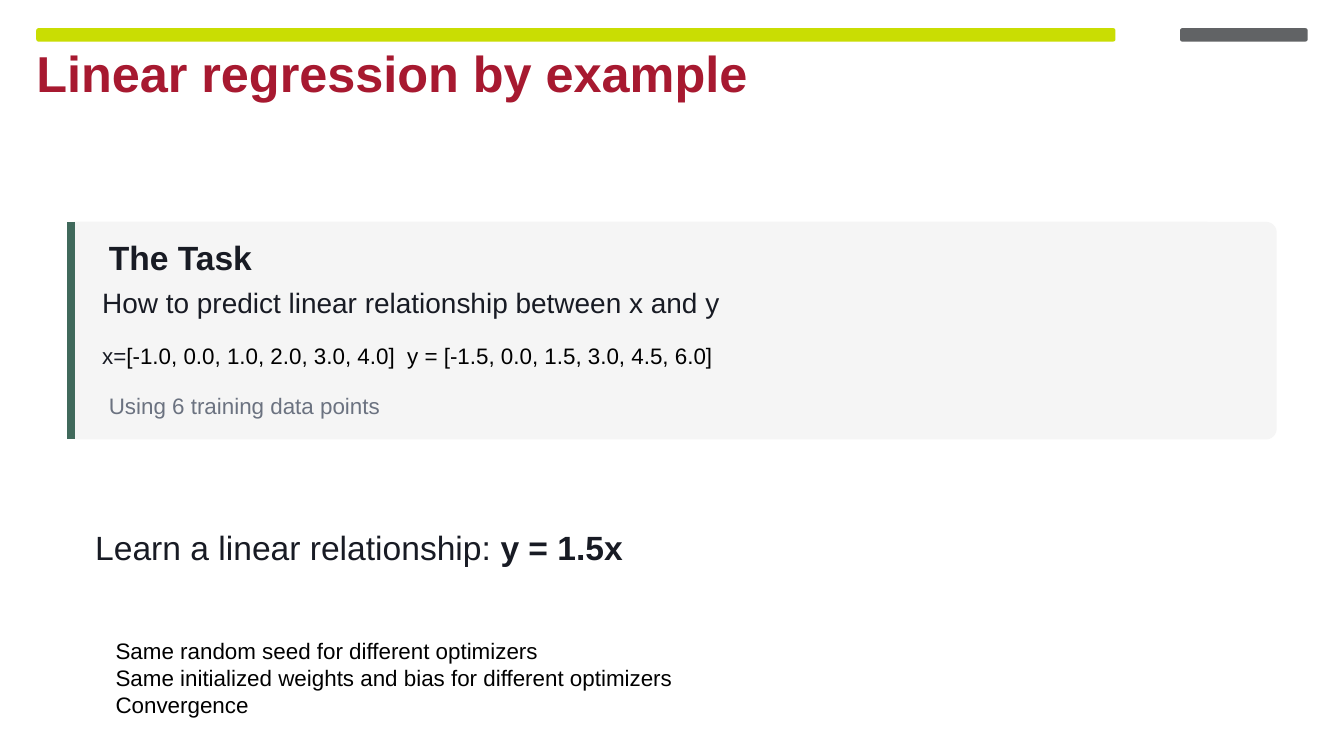
from dataclasses import dataclass, field
from typing import Optional

import lxml.etree
import pptx
import pptx.dml.color
import pptx.enum.shapes
import pptx.enum.text
import pptx.oxml.ns
import pptx.util

Inches = pptx.util.Inches
Pt = pptx.util.Pt
qn = pptx.oxml.ns.qn

INK = "181B24"
BLACK = "000000"


@dataclass
class Run:
    text: str
    color: Optional[str] = None
    bold: Optional[bool] = None


@dataclass
class Para:
    runs: list[Run]
    size: float
    color: str = INK
    bold: bool = False
    line: object = 1.0
    before: float = 0
    after: float = 0


@dataclass
class Block:
    at: tuple[float, float, float, float]
    paras: list[Para] = field(default_factory=list)
    margins: tuple[float, float] = (0, 0)
    grow: bool = False


@dataclass
class Panel:
    at: tuple[float, float, float, float]
    color: str
    corner: float


PANELS = [
    Panel((0.27, 0.21, 8.03, 0.1), "C9DD03", 0.17),
    Panel((8.78, 0.21, 0.95, 0.1), "616365", 0.17),
    Panel((0.5, 1.65, 9, 1.62), "F5F5F5", 0.05),
]

TITLE = Block(
    (0.17, 0.33, 8.15, 0.95),
    [Para([Run("Linear regression by example")], 27, "A71930", True, 0.85, 5)],
    (0.1, 0.05),
)

NOTES = Block(
    (0.76, 4.69, 6.15, 0.71),
    [
        Para([Run(text)], 12, BLACK)
        for text in (
            "Same random seed for different optimizers",
            "Same initialized weights and bias for different optimizers",
            "Convergence",
        )
    ],
    (0.1, 0.05),
)

BLOCKS = [
    Block(
        (0.81, 1.73, 8.61, 0.33),
        [Para([Run("The Task")], 18, bold=True, line=Pt(24), after=9)],
    ),
    Block(
        (0.76, 2.08, 8.61, 0.29),
        [
            Para([Run("How to predict linear relationship between x and y")],
                 15, line=Pt(21), before=3, after=3),
            Para([Run("x=", INK),
                  Run("[-1.0, 0.0, 1.0, 2.0, 3.0, 4.0]  y = [-1.5, 0.0, 1.5, 3.0, 4.5, 6.0]", BLACK)],
                 12, line=Pt(21), before=3, after=3),
        ],
    ),
    Block(
        (0.81, 2.87, 8.61, 0.25),
        [Para([Run("Using 6 training data points")], 12, "6B7280",
              line=Pt(18), before=6, after=3)],
    ),
    Block(
        (0.61, 3.88, 4.22, 0.4),
        [Para([Run("Learn a linear relationship: "), Run("y = 1.5x", bold=True)],
              18, line=Pt(21), before=3, after=3)],
        (0.1, 0.05),
        True,
    ),
]


def rgb(color: str) -> pptx.dml.color.RGBColor:
    return pptx.dml.color.RGBColor.from_string(color)


def draw_panel(s, panel: Panel) -> None:
    kind = pptx.enum.shapes.MSO_SHAPE.ROUNDED_RECTANGLE
    sp = s.shapes.add_shape(kind, *map(Inches, panel.at))
    sp.adjustments[0] = panel.corner
    sp.fill.solid()
    sp.fill.fore_color.rgb = rgb(panel.color)
    sp.line.fill.background()
    sp.shadow.inherit = False


def draw_accent(s, x: float, top: float, bottom: float) -> None:
    kind = pptx.enum.shapes.MSO_CONNECTOR.STRAIGHT
    sp = s.shapes.add_connector(kind, *map(Inches, (x, top, x, bottom)))
    sp.line.color.rgb = rgb("40695B")
    sp.line.width = Pt(4.5)
    lxml.etree.SubElement(sp._element.spPr, qn("a:effectLst"))


def set_font(font, size: float, color: str, bold: bool) -> None:
    font.name = "Arial"
    font.size = Pt(size)
    font.bold = bold
    font.color.rgb = rgb(color)


def write_para(p, para: Para) -> None:
    p.alignment = pptx.enum.text.PP_ALIGN.LEFT
    p.line_spacing = para.line
    p.space_before = Pt(para.before)
    p.space_after = Pt(para.after)
    set_font(p.font, para.size, para.color, para.bold)
    for run in para.runs:
        r = p.add_run()
        r.text = run.text
        bold = para.bold if run.bold is None else run.bold
        set_font(r.font, para.size, run.color or para.color, bold)


def fill_block(sp, block: Block) -> None:
    sp.left, sp.top, sp.width, sp.height = map(Inches, block.at)
    tf = sp.text_frame
    tf.word_wrap = True
    sizes = pptx.enum.text.MSO_AUTO_SIZE
    tf.auto_size = sizes.SHAPE_TO_FIT_TEXT if block.grow else sizes.NONE
    tf.vertical_anchor = pptx.enum.text.MSO_ANCHOR.TOP
    tf.margin_left = tf.margin_right = Inches(block.margins[0])
    tf.margin_top = tf.margin_bottom = Inches(block.margins[1])
    for i, para in enumerate(block.paras):
        write_para(tf.add_paragraph() if i else tf.paragraphs[0], para)


def remove_bullets(tf) -> None:
    for p in tf.paragraphs:
        pPr = p._p.get_or_add_pPr()
        pPr.set("marL", "0")
        pPr.set("indent", "0")
        bullet = lxml.etree.Element(qn("a:buNone"))
        pPr.find(qn("a:defRPr")).addprevious(bullet)


def main() -> None:
    prs = pptx.Presentation()
    prs.slide_width = Inches(10)
    prs.slide_height = prs.slide_width * 9 // 16
    s = prs.slides.add_slide(prs.slide_layouts[1])
    for panel in PANELS:
        draw_panel(s, panel)
    draw_accent(s, 0.53, 1.65, 3.27)
    fill_block(s.shapes.title, TITLE)
    for block in BLOCKS:
        fill_block(s.shapes.add_textbox(*map(Inches, block.at)), block)
    body = s.placeholders[1]
    fill_block(body, NOTES)
    remove_bullets(body.text_frame)
    prs.save("out.pptx")


if __name__ == "__main__":
    main()
